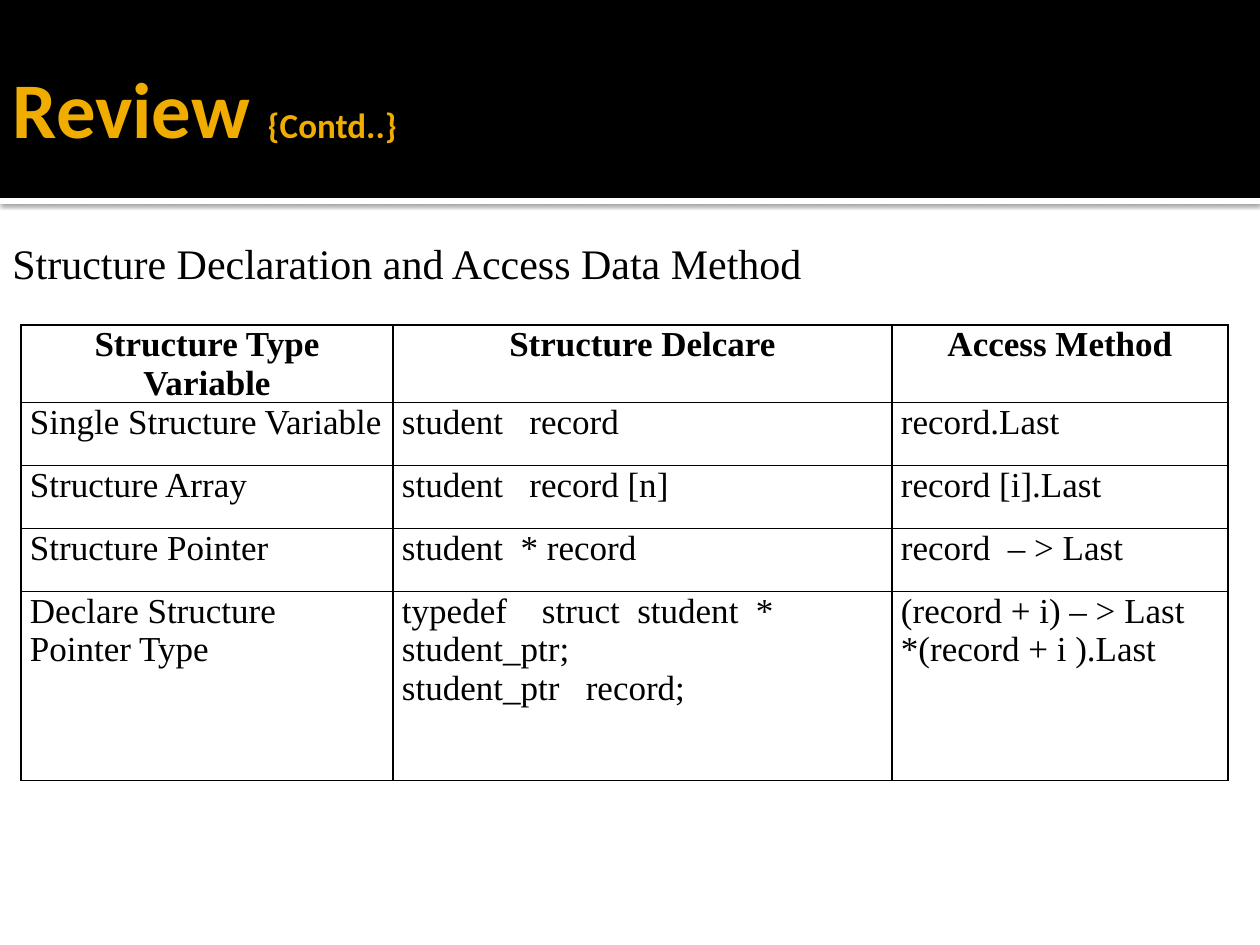
from lxml.etree import SubElement
from pptx import Presentation
from pptx.dml.color import RGBColor
from pptx.enum.shapes import MSO_SHAPE
from pptx.enum.text import MSO_ANCHOR, PP_ALIGN
from pptx.oxml import parse_xml
from pptx.oxml.ns import nsdecls, qn
from pptx.util import Pt

EMU_PER_PX = 914400 / 126
BLACK = RGBColor(0x00, 0x00, 0x00)
WHITE = RGBColor(0xFF, 0xFF, 0xFF)
AMBER = RGBColor(0xF0, 0xAD, 0x00)
HEADING_FONT = "Calibri"
BODY_FONT = "Times New Roman"
COLUMN_WIDTHS = [372, 499, 336]
ROW_HEIGHTS = [63, 63, 63, 63, 189]
ROWS = [
    ["Structure Type Variable", "Structure Delcare", "Access Method"],
    ["Single Structure Variable", "student   record", "record.Last"],
    ["Structure Array", "student   record [n]", "record [i].Last"],
    ["Structure Pointer", "student  * record", "record  – > Last"],
    [
        "Declare Structure Pointer Type",
        "typedef    struct  student  * student_ptr;\nstudent_ptr   record;",
        "(record + i) – > Last\n*(record + i ).Last",
    ],
]


def px(length):
    """Turn a pixel length into EMU."""
    return round(length * EMU_PER_PX)


def add_run(paragraph, text, size, font, color, bold=False):
    """Append one formatted run to a paragraph."""
    run = paragraph.add_run()
    run.text = text
    run.font.size = Pt(size)
    run.font.name = font
    run.font.bold = bold
    run.font.color.rgb = color


def set_margins(target, left, top, right, bottom):
    """Set the inner margins of a text frame or table cell."""
    target.margin_left, target.margin_top = px(left), px(top)
    target.margin_right, target.margin_bottom = px(right), px(bottom)


def add_band(slide, top, height, color):
    """Add a plain band across the full slide width."""
    band = slide.shapes.add_shape(MSO_SHAPE.RECTANGLE, 0, px(top), px(1260), px(height))
    band.shadow.inherit = False
    band.fill.solid()
    band.fill.fore_color.rgb = color
    band.line.fill.background()
    return band


def add_shadow(shape):
    """Give a shape a soft shadow straight below it."""
    effects = shape._element.spPr.find(qn("a:effectLst"))
    effects.append(parse_xml(
        f'<a:outerShdw {nsdecls("a")} blurRad="31750" dist="10160" dir="5400000" '
        'algn="tl" rotWithShape="0"><a:srgbClr val="000000">'
        '<a:alpha val="60000"/></a:srgbClr></a:outerShdw>'
    ))


def add_text(slide, left, top, width, height, runs, wrap=True):
    """Add a text box with one paragraph and return its frame."""
    box = slide.shapes.add_textbox(px(left), px(top), px(width), px(height))
    frame = box.text_frame
    frame.word_wrap = wrap
    for run in runs:
        add_run(frame.paragraphs[0], *run)
    return frame


def add_borders(cell):
    """Draw a thin black line on each side of a cell."""
    properties = cell._tc.get_or_add_tcPr()
    for position, side in enumerate(("a:lnL", "a:lnR", "a:lnT", "a:lnB")):
        line = properties.makeelement(qn(side), {"w": str(Pt(1))})
        fill = SubElement(line, qn("a:solidFill"))
        SubElement(fill, qn("a:srgbClr"), val=str(BLACK))
        properties.insert(position, line)


def fill_cell(cell, text, is_header):
    """Write and style one table cell."""
    set_margins(cell, 9, 0, 9, 0)
    cell.fill.background()
    add_borders(cell)
    for index, line in enumerate(text.split("\n")):
        frame = cell.text_frame
        paragraph = frame.add_paragraph() if index else frame.paragraphs[0]
        paragraph.alignment = PP_ALIGN.CENTER if is_header else PP_ALIGN.LEFT
        add_run(paragraph, line, 20, BODY_FONT, BLACK, is_header)


def add_method_table(slide, left, top):
    """Add the table of declarations and access methods."""
    table = slide.shapes.add_table(
        len(ROWS), len(COLUMN_WIDTHS), px(left), px(top),
        px(sum(COLUMN_WIDTHS)), px(sum(ROW_HEIGHTS)),
    ).table
    table.horz_banding = False
    table.first_row = False
    for column, width in zip(table.columns, COLUMN_WIDTHS):
        column.width = px(width)
    for row_index, (row, height) in enumerate(zip(table.rows, ROW_HEIGHTS)):
        row.height = px(height)
        for cell, text in zip(row.cells, ROWS[row_index]):
            fill_cell(cell, text, row_index == 0)


def main():
    """Build and save the slide."""
    presentation = Presentation()
    presentation.slide_width, presentation.slide_height = px(1260), px(945)
    slide = presentation.slides.add_slide(presentation.slide_layouts[6])
    add_shadow(add_band(slide, 198, 6, WHITE))
    add_band(slide, 0, 198, BLACK)
    add_method_table(slide, 21, 325)
    title = add_text(slide, 0, 21, 1197, 173, [
        ("Review ", 45, HEADING_FONT, AMBER, True),
        ("{Contd..}", 20, HEADING_FONT, AMBER, True),
    ])
    title.vertical_anchor = MSO_ANCHOR.MIDDLE
    set_margins(title, 13, 6, 6, 6)
    add_text(slide, 0, 231, 822, 63, [
        ("Structure Declaration and Access Data Method", 24, BODY_FONT, BLACK),
    ], wrap=False)
    presentation.save("out.pptx")


if __name__ == "__main__":
    main()
